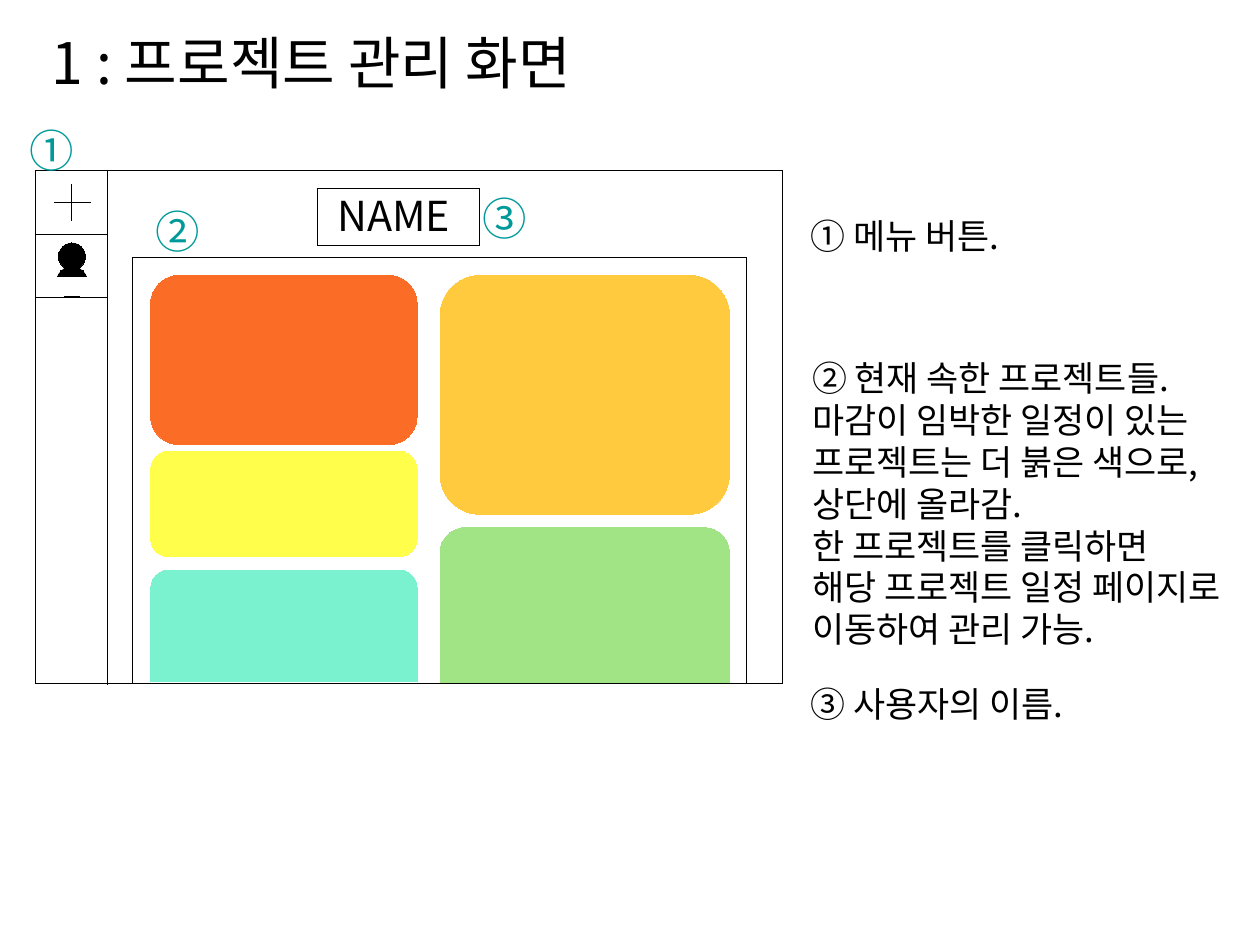
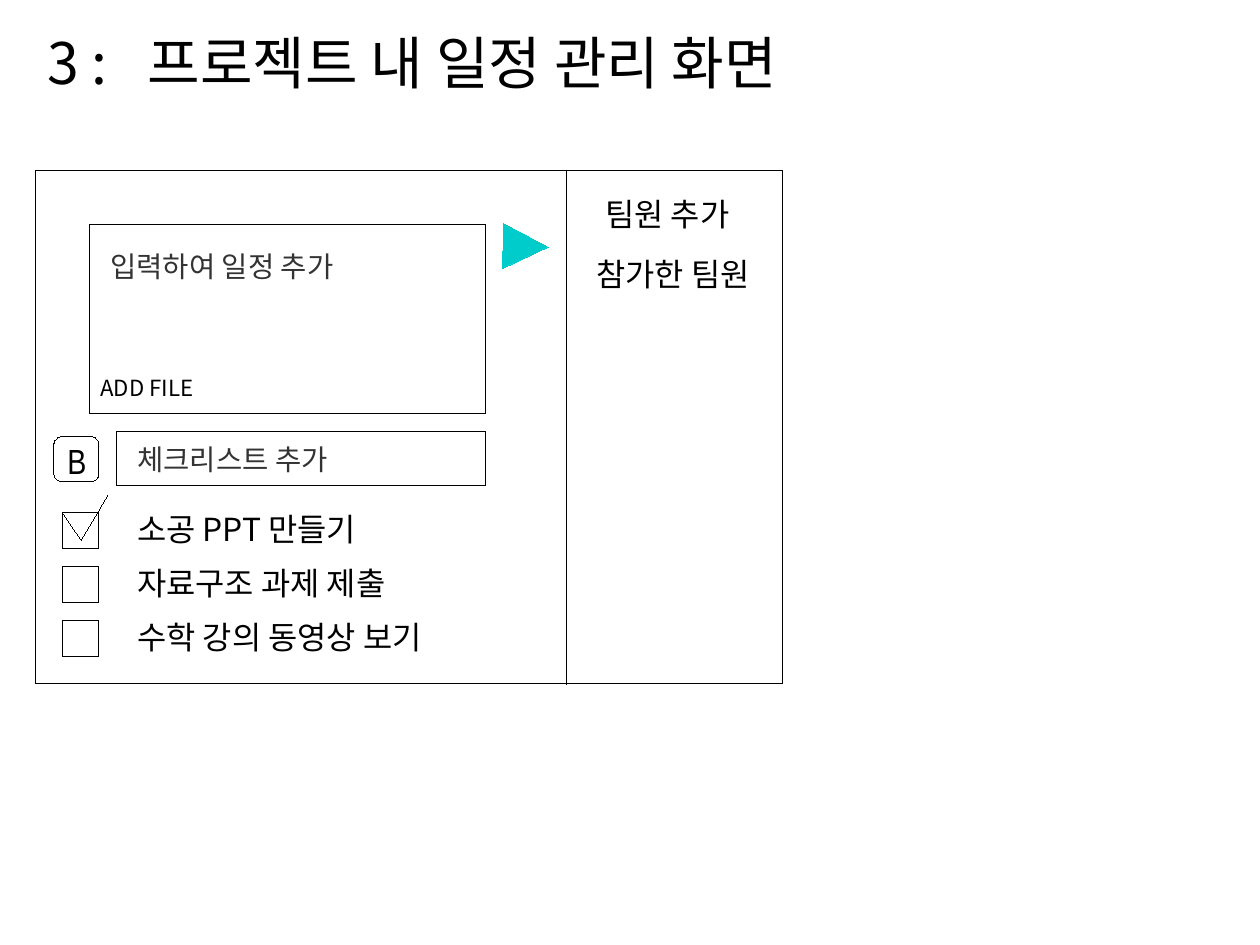
from lxml.etree import SubElement
from pptx import Presentation
from pptx.enum.shapes import MSO_CONNECTOR, MSO_SHAPE
from pptx.enum.text import MSO_AUTO_SIZE
from pptx.dml.color import RGBColor
from pptx.oxml.ns import qn
from pptx.util import Cm, Emu, Pt

BLACK, WHITE, GRAY, TEAL, CYAN = "000000", "FFFFFF", "333333", "009999", "00CCCC"
ORANGE, GOLD, YELLOW, GREEN, MINT = "FB6C26", "FFCA3D", "FFFE4A", "A0E485", "7AF2CF"
FONT = "Noto Sans CJK KR"
HAIRLINE = Emu(1)

presentation = Presentation()
presentation.slide_width = Cm(28)
presentation.slide_height = Cm(21)
COLUMN = presentation.slide_width / 28
ROW = presentation.slide_height / 21


def paint(fill, color):
    fill.solid()
    fill.fore_color.rgb = RGBColor.from_string(color)


def write(slide, text, column, row, columns, rows, size=20, color=BLACK, font=FONT, wrap=True, tab=None):
    box = slide.shapes.add_textbox(
        round(column * COLUMN), round(row * ROW), round(columns * COLUMN), round(rows * ROW))
    frame = box.text_frame
    frame.word_wrap = wrap
    frame.auto_size = MSO_AUTO_SIZE.SHAPE_TO_FIT_TEXT
    frame.text = text
    for paragraph in frame.paragraphs:
        if tab:
            tabs = SubElement(paragraph._p.get_or_add_pPr(), qn("a:tabLst"))
            SubElement(tabs, qn("a:tab"), pos=str(round(tab * COLUMN)), algn="l")
        for run in paragraph.runs:
            run.font.size = Pt(size)
            run.font.name = font
            paint(run.font.fill, color)


projects, schedule = [
    presentation.slides.add_slide(presentation.slide_layouts[6]) for _ in range(2)]

write(projects, "1 : 프로젝트 관리 화면", 0.9, 0.48, 19.5, 2.1, size=36)
write(schedule, "3 :\t프로젝트 내 일정 관리 화면", 0.8, 0.48, 20, 2.1, size=36, tab=2.23)

FRAME_LEFT, FRAME_TOP, FRAME_WIDTH, FRAME_HEIGHT = 0.8, 3.8, 16.6, 11.4
FRAME_BOTTOM = FRAME_TOP + FRAME_HEIGHT
MENU_RIGHT, TEAM_LEFT = 2.4, 12.6
LEFT_CARD, LEFT_WIDTH, RIGHT_CARD, RIGHT_WIDTH = 3.35, 5.92, 9.78, 6.43
CHECK_LEFT, CHECK_TOP, CHECK_SIZE, CHECK_STEP = 1.4, 11.4, 0.8, 1.2
RECTANGLE, ROUNDED, OVAL = MSO_SHAPE.RECTANGLE, MSO_SHAPE.ROUNDED_RECTANGLE, MSO_SHAPE.OVAL

boxes = [
    (slide, RECTANGLE, FRAME_LEFT, FRAME_TOP, FRAME_WIDTH, FRAME_HEIGHT, WHITE, BLACK)
    for slide in (projects, schedule)
]
boxes += [
    (projects, RECTANGLE, 2.95, 5.73, 13.65, 9.45, WHITE, BLACK),
    (projects, ROUNDED, LEFT_CARD, 6.12, LEFT_WIDTH, 3.76, ORANGE, ORANGE),
    (projects, ROUNDED, RIGHT_CARD, 6.12, RIGHT_WIDTH, 5.31, GOLD, GOLD),
    (projects, ROUNDED, LEFT_CARD, 10.03, LEFT_WIDTH, 2.34, YELLOW, YELLOW),
    (projects, ROUNDED, RIGHT_CARD, 11.73, RIGHT_WIDTH, 3.28, GREEN, GREEN),
    (projects, RECTANGLE, RIGHT_CARD, 14.22, RIGHT_WIDTH, 0.94, GREEN, GREEN),
    (projects, ROUNDED, LEFT_CARD, 12.67, LEFT_WIDTH, 2.34, MINT, MINT),
    (projects, RECTANGLE, LEFT_CARD, 13.9, LEFT_WIDTH, 1.24, MINT, MINT),
    (projects, RECTANGLE, 7.05, 4.2, 3.6, 1.25, WHITE, BLACK),
    (projects, OVAL, 1.3, 5.4, 0.6, 0.6, BLACK, BLACK),
    (projects, OVAL, 1.25, 5.92, 0.7, 0.7, BLACK, BLACK),
    (projects, RECTANGLE, 1.2, 6.17, 0.8, 0.4, WHITE, WHITE),
    (schedule, RECTANGLE, 2, 5, 8.8, 4.2, WHITE, BLACK),
    (schedule, RECTANGLE, 2.6, 9.6, 8.2, 1.2, WHITE, BLACK),
    (schedule, ROUNDED, 1.2, 9.7, 1, 1, WHITE, BLACK),
]
boxes += [
    (schedule, RECTANGLE, CHECK_LEFT, CHECK_TOP + index * CHECK_STEP, CHECK_SIZE, CHECK_SIZE, WHITE, BLACK)
    for index in range(3)
]
boxes.append((schedule, MSO_SHAPE.ISOSCELES_TRIANGLE, 11.18, 4.98, 1, 1, CYAN, CYAN))

for slide, kind, column, row, columns, rows, fill, line in boxes:
    shape = slide.shapes.add_shape(
        kind, round(column * COLUMN), round(row * ROW), round(columns * COLUMN), round(rows * ROW))
    shape.shadow.inherit = False
    paint(shape.fill, fill)
    paint(shape.line.fill, line)
    shape.line.width = HAIRLINE
    if kind == MSO_SHAPE.ISOSCELES_TRIANGLE:
        shape.rotation = 91.4

lines = [
    (projects, MENU_RIGHT, FRAME_TOP, MENU_RIGHT, FRAME_BOTTOM),
    (projects, FRAME_LEFT, 5.2, MENU_RIGHT, 5.2),
    (projects, FRAME_LEFT, 6.6, MENU_RIGHT, 6.6),
    (projects, 1.2, 4.5, 2, 4.5),
    (projects, 1.6, 4.1, 1.6, 4.9),
    (schedule, CHECK_LEFT, CHECK_TOP, 1.8, 12),
    (schedule, 1.8, 12, 2.4, 11),
    (schedule, TEAM_LEFT, FRAME_TOP, TEAM_LEFT, FRAME_BOTTOM),
]
for slide, start_column, start_row, end_column, end_row in lines:
    connector = slide.shapes.add_connector(
        MSO_CONNECTOR.STRAIGHT, round(start_column * COLUMN), round(start_row * ROW),
        round(end_column * COLUMN), round(end_row * ROW))
    paint(connector.line.fill, BLACK)
    connector.line.width = HAIRLINE
    SubElement(connector._element.spPr, qn("a:effectLst"))

for mark, column, row, columns in [("①", 0.4, 2.6, 1.8), ("②", 3.2, 4.4, 1.17), ("③", 10.48, 4.12, 1.17)]:
    write(projects, mark, column, row, columns, 1.6, size=28, color=TEAL)
write(projects, "NAME", 7.25, 4.1, 3.45, 1.5, size=26)

project_note = """② 현재 속한 프로젝트들.
마감이 임박한 일정이 있는
프로젝트는 더 붉은 색으로,
상단에 올라감.
한 프로젝트를 클릭하면
해당 프로젝트 일정 페이지로
이동하여 관리 가능."""
for note, column, row, rows in [
    ("① 메뉴 버튼.", 17.77, 4.65, 1.37),
    (project_note, 17.8, 7.8, 8.13),
    ("③ 사용자의 이름.", 17.77, 15.05, 1.37),
]:
    write(projects, note, column, row, 10.15, rows, size=22)

write(schedule, "입력하여 일정 추가", 2.2, 5.4, 6.8, 2.8, size=18, color=GRAY)
write(schedule, "체크리스트 추가", 2.8, 9.7, 5.65, 1.17, size=18, color=GRAY)
write(schedule, "ADD FILE", 1.98, 8.2, 4.4, 2.8, size=14)
write(schedule, "B", 1.25, 9.65, 1.2, 1.15, size=22, font="Arial Narrow")
for index, task in enumerate(["소공 PPT 만들기", "자료구조 과제 제출", "수학 강의 동영상 보기"]):
    write(schedule, task, 2.8, CHECK_TOP - 0.2 + index * CHECK_STEP, 7.4, 1.27)
write(schedule, "팀원 추가", 13.2, 4.2, 3.35, 1.27, wrap=False)
write(schedule, "참가한 팀원", 13, 5.54, 4.2, 1.27)

presentation.save("out.pptx")
